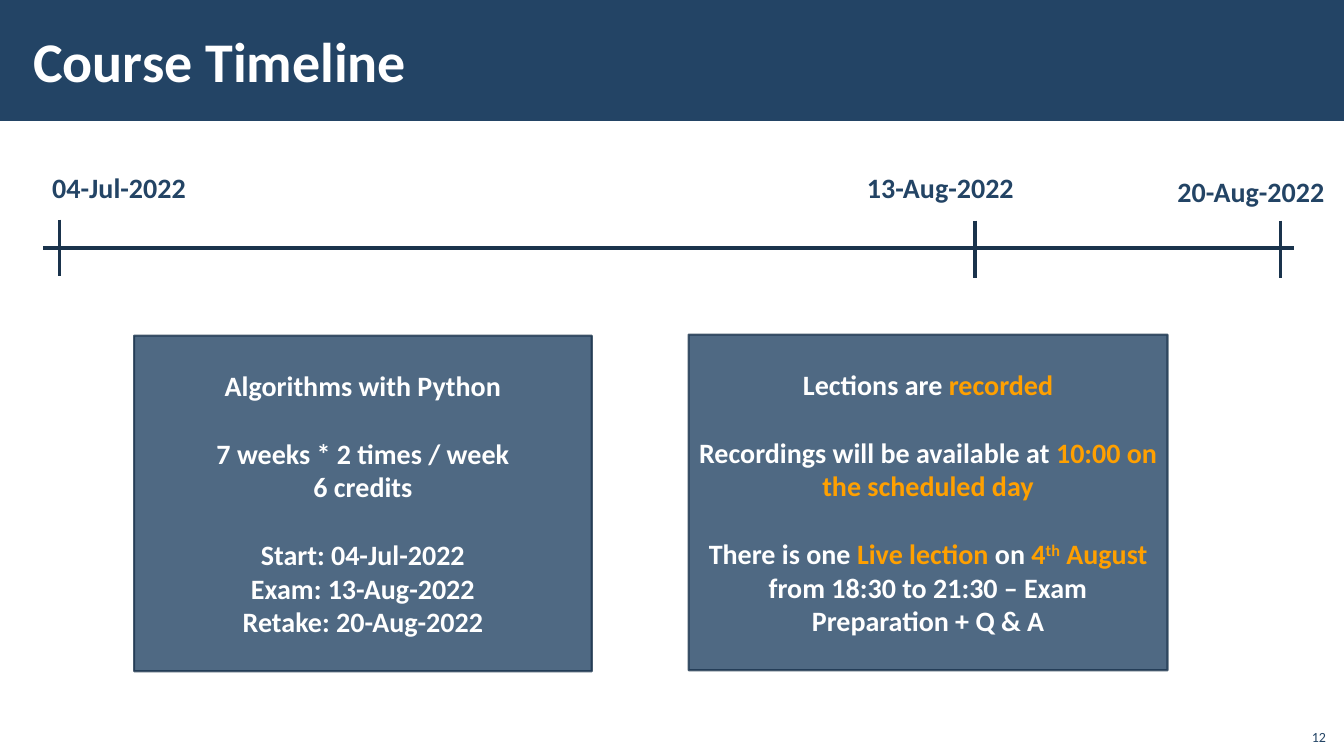
import pptx
import pptx.dml.color
import pptx.enum.shapes
import pptx.enum.text
import pptx.oxml.ns
import pptx.oxml.xmlchemy
import pptx.util
from pptx.util import Inches

NAVY, DARK, WHITE, ORANGE = "234465", "1A334C", "FFFFFF", "FFA000"
ALIGN = pptx.enum.text.PP_ALIGN
ANCHOR = pptx.enum.text.MSO_ANCHOR
RECTANGLE = pptx.enum.shapes.MSO_SHAPE.RECTANGLE
STRAIGHT = pptx.enum.shapes.MSO_CONNECTOR.STRAIGHT
BLANK_LINE = pptx.util.Pt(24.4)


def color(value):
    return pptx.dml.color.RGBColor.from_string(value)


def add_run(paragraph, text, size, text_color, bold=True):
    run = paragraph.add_run()
    run.text = text
    run.font.name = "Calibri"
    run.font.size = pptx.util.Pt(size)
    run.font.bold = bold
    run.font.color.rgb = color(text_color)
    return run


presentation = pptx.Presentation()
presentation.slide_width = Inches(13.33)
presentation.slide_height = Inches(7.5)
slide = presentation.slides.add_slide(presentation.slide_layouts[6])
shapes = slide.shapes

# Header bar
header = shapes.add_shape(RECTANGLE, 0, 0, presentation.slide_width, Inches(1.2))
header.shadow.inherit = False
header.fill.solid()
header.fill.fore_color.rgb = color(NAVY)
header.line.fill.background()

# Title, dates and slide number: text, place, size, color, bold, anchor, alignment, side inset
labels = [
    ("Course Timeline", (0.21, 0.11, 10.39, 0.97), 40, WHITE, True, ANCHOR.MIDDLE, ALIGN.LEFT, 0.12),
    ("04-Jul-2022", (0.42, 1.64, 1.7, 0.44), 20, NAVY, True, ANCHOR.TOP, ALIGN.LEFT, 0.1),
    ("13-Aug-2022", (8.5, 1.64, 1.7, 0.44), 20, NAVY, True, ANCHOR.TOP, ALIGN.LEFT, 0.1),
    ("20-Aug-2022", (11.58, 1.68, 1.75, 0.44), 20, NAVY, True, ANCHOR.TOP, ALIGN.LEFT, 0.1),
    ("12", (12.85, 7.12, 0.4, 0.32), 10, NAVY, False, ANCHOR.BOTTOM, ALIGN.RIGHT, 0.1),
]
for text, place, size, text_color, bold, anchor, alignment, inset in labels:
    frame = shapes.add_textbox(*map(Inches, place)).text_frame
    frame.word_wrap = True
    frame.vertical_anchor = anchor
    frame.margin_left = frame.margin_right = Inches(inset)
    frame.paragraphs[0].alignment = alignment
    add_run(frame.paragraphs[0], text, size, text_color, bold)

# Timeline axis and its ticks
timeline = [
    (0.43, 2.46, 12.83, 2.46),
    (0.59, 2.18, 0.59, 2.74),
    (9.67, 2.19, 9.67, 2.76),
    (12.7, 2.19, 12.7, 2.76),
]
for ends in timeline:
    line = shapes.add_connector(STRAIGHT, *map(Inches, ends))
    line.line.color.rgb = color(DARK)
    line.line.width = pptx.util.Pt(2.25)
    line._element.spPr.append(pptx.oxml.xmlchemy.OxmlElement("a:effectLst"))

# Info boxes: place, then groups of lines set apart by one blank line
boxes = [
    ((1.33, 3.33, 4.54, 3.33), [
        [[("Algorithms with Python", WHITE)]],
        [[("7 weeks * 2 times / week", WHITE)], [("6 credits", WHITE)]],
        [[("Start: 04-Jul-2022", WHITE)],
         [("Exam: 13-Aug-2022", WHITE)],
         [("Retake: 20-Aug-2022", WHITE)]],
    ]),
    ((6.83, 3.32, 4.75, 3.33), [
        [[("Lections are ", WHITE), ("recorded", ORANGE)]],
        [[("Recordings will be available at", WHITE),
          (" 10:00 on the scheduled day", ORANGE)]],
        [[("There is one ", WHITE), ("Live lection ", ORANGE), ("on ", WHITE),
          ("4", ORANGE), ("th", ORANGE), (" August ", ORANGE),
          ("from 18:30 to 21:30 – Exam Preparation + Q & A", WHITE)]],
    ]),
]
for place, groups in boxes:
    box = shapes.add_shape(RECTANGLE, *map(Inches, place))
    box.shadow.inherit = False
    box.fill.solid()
    box.fill.fore_color.rgb = color(NAVY)
    box.line.color.rgb = color(DARK)
    box.line.width = pptx.util.Pt(1.5)
    for color_element in box._element.spPr.iter(pptx.oxml.ns.qn("a:srgbClr")):
        alpha = pptx.oxml.xmlchemy.OxmlElement("a:alpha")
        alpha.set("val", "80000")
        color_element.append(alpha)

    frame = box.text_frame
    frame.word_wrap = True
    frame.vertical_anchor = ANCHOR.MIDDLE
    paragraph = frame.paragraphs[0]
    for group_index, group in enumerate(groups):
        for line_index, runs in enumerate(group):
            if group_index or line_index:
                paragraph = frame.add_paragraph()
            paragraph.alignment = ALIGN.CENTER
            if group_index and not line_index:
                paragraph.space_before = BLANK_LINE
            for text, text_color in runs:
                run = add_run(paragraph, text, 20, text_color)
                if text == "th":
                    run.font._element.set("baseline", "30000")

presentation.save("out.pptx")
